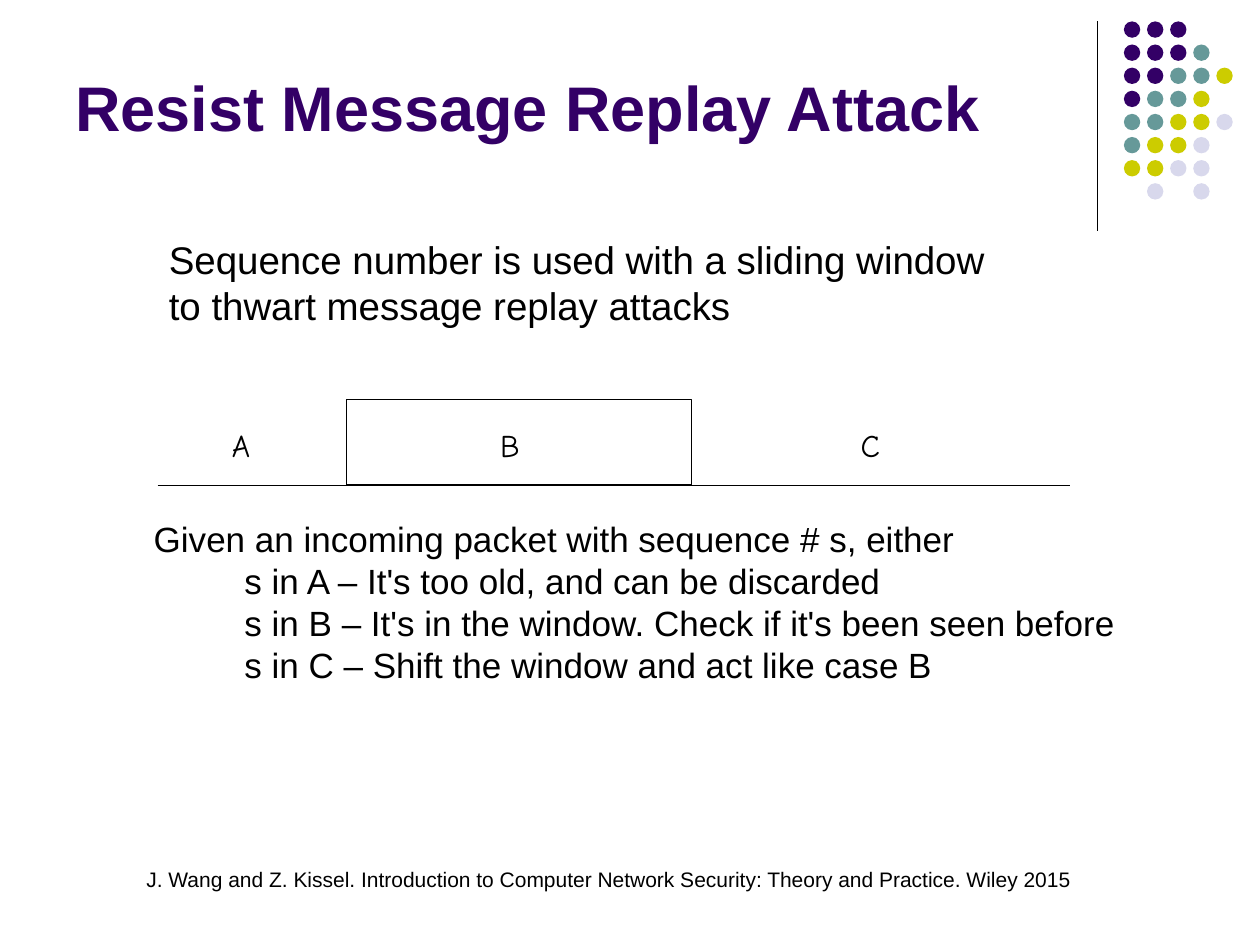
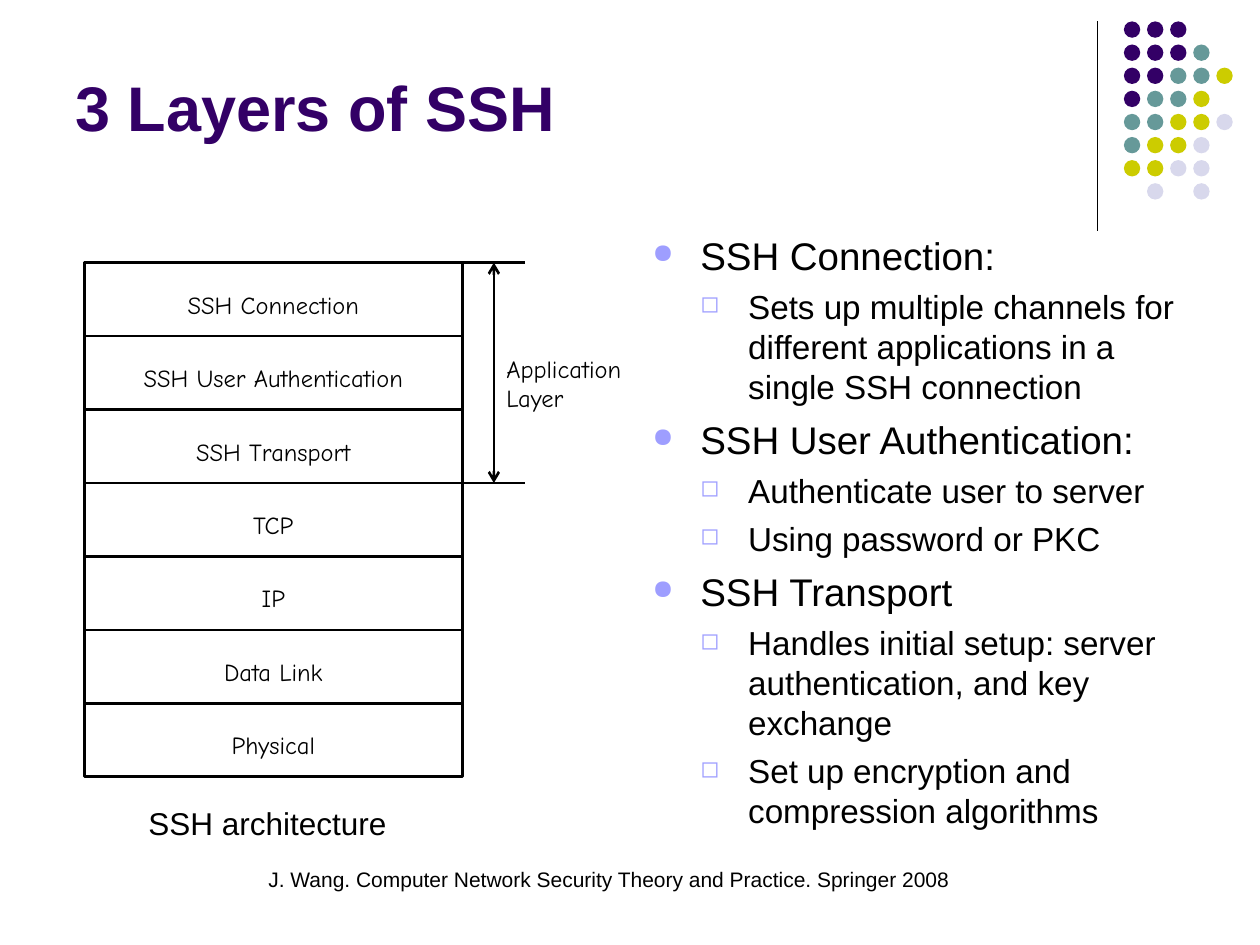
from lxml import etree
from pptx import Presentation
from pptx.dml.color import RGBColor
from pptx.enum.shapes import MSO_CONNECTOR, MSO_SHAPE
from pptx.enum.text import MSO_ANCHOR, PP_ALIGN
from pptx.oxml.ns import qn
from pptx.util import Inches, Pt

RECTANGLE, OVAL = MSO_SHAPE.RECTANGLE, MSO_SHAPE.OVAL
STRAIGHT = MSO_CONNECTOR.STRAIGHT
LEFT, CENTER = PP_ALIGN.LEFT, PP_ALIGN.CENTER
TOP, MIDDLE = MSO_ANCHOR.TOP, MSO_ANCHOR.MIDDLE

BLACK, WHITE, PURPLE, BULLET_COLOR = "000000", "FFFFFF", "330066", "9E9EFF"
DOT_COLORS = {"P": PURPLE, "T": "669999", "Y": "CCCC00", "L": "D8D8EC"}
DOT_ROWS = ["PPP", "PPPT", "PPTTY", "PTTY", "TTYYL", "TYYL", "YYLL", " L L"]
DOT_PITCH, DOT_SIZE = 0.1835, 0.13
BODY_FONT, DIAGRAM_FONT = "Arial", "Comic Neue"
WIDE_INSETS, NARROW_INSETS = (0.1, 0.05), (0.09, 0.04)
# bullet, left indent, space before, font size for each outline level
OUTLINE_LEVELS = [("●", 0.38, 5.5, 22), ("◻", 0.76, 4.8, 19)]
HANGING = 0.38


def rgb(color):
    return RGBColor.from_string(color)


class Deck:
    def __init__(self):
        self.presentation = Presentation()
        self.presentation.slide_width = Inches(10)
        self.presentation.slide_height = Inches(7.5)
        self.slide = None

    def new_slide(self, title, source, title_top, title_height):
        """Start a slide with the shared dots, rule, title and source line."""
        self.slide = self.presentation.slides.add_slide(self.presentation.slide_layouts[6])
        self.line(8.71, 0.17, 8.71, 1.83)
        for row, pattern in enumerate(DOT_ROWS):
            for column, key in enumerate(pattern):
                if key in DOT_COLORS:
                    self.shape(OVAL, 8.92 + column * DOT_PITCH, 0.17 + row * DOT_PITCH,
                               DOT_SIZE, DOT_SIZE, DOT_COLORS[key])
        self.text(0.5, 6.83, 8.67, 0.5, [source], 12, align=CENTER)
        self.text(0.5, title_top, 8.25, title_height, [title], 36,
                  color=PURPLE, bold=True, anchor=MIDDLE)

    def shape(self, kind, left, top, width, height, fill, line_width=None):
        shape = self.slide.shapes.add_shape(
            kind, Inches(left), Inches(top), Inches(width), Inches(height))
        shape.shadow.inherit = False
        shape.fill.solid()
        shape.fill.fore_color.rgb = rgb(fill)
        if line_width:
            shape.line.color.rgb = rgb(BLACK)
            shape.line.width = Pt(line_width)
        else:
            shape.line.fill.background()

    def line(self, x1, y1, x2, y2, width=0.75, arrows=False):
        connector = self.slide.shapes.add_connector(
            STRAIGHT, Inches(x1), Inches(y1), Inches(x2), Inches(y2))
        connector.line.color.rgb = rgb(BLACK)
        connector.line.width = Pt(width)
        properties = connector._element.spPr
        if arrows:
            for end in ("a:headEnd", "a:tailEnd"):
                etree.SubElement(properties.find(qn("a:ln")), qn(end), type="arrow")
        etree.SubElement(properties, qn("a:effectLst"))

    def text_frame(self, left, top, width, height, insets, anchor=TOP, wrap=True):
        box = self.slide.shapes.add_textbox(
            Inches(left), Inches(top), Inches(width), Inches(height))
        frame = box.text_frame
        frame.word_wrap = wrap
        frame.vertical_anchor = anchor
        frame.margin_left = frame.margin_right = Inches(insets[0])
        frame.margin_top = frame.margin_bottom = Inches(insets[1])
        return frame

    def paragraph(self, frame, index, text):
        paragraph = frame.add_paragraph() if index else frame.paragraphs[0]
        paragraph.text = text
        return paragraph

    def style(self, paragraph, size, font=BODY_FONT, color=BLACK, bold=False):
        paragraph.font.size = Pt(size)
        paragraph.font.name = font
        paragraph.font.bold = bold
        paragraph.font.color.rgb = rgb(color)

    def text(self, left, top, width, height, lines, size, font=BODY_FONT, color=BLACK,
             bold=False, align=LEFT, anchor=TOP, insets=WIDE_INSETS, wrap=True, indent=0):
        """Add a text box; indent moves every paragraph after the first."""
        frame = self.text_frame(left, top, width, height, insets, anchor, wrap)
        for index, line in enumerate(lines):
            paragraph = self.paragraph(frame, index, line)
            paragraph.alignment = align
            if index and indent:
                paragraph._p.get_or_add_pPr().set("marL", str(Inches(indent)))
            self.style(paragraph, size, font, color, bold)

    def outline(self, left, top, width, height, items):
        """Add a bulleted list from (level, text) pairs."""
        frame = self.text_frame(left, top, width, height, WIDE_INSETS)
        for index, (level, text) in enumerate(items):
            bullet, indent, space_before, size = OUTLINE_LEVELS[level]
            paragraph = self.paragraph(frame, index, text)
            paragraph.level = level
            if index:
                paragraph.space_before = Pt(space_before)
            properties = paragraph._p.get_or_add_pPr()
            properties.set("marL", str(Inches(indent)))
            properties.set("indent", str(-Inches(HANGING)))
            bullet_color = etree.SubElement(properties, qn("a:buClr"))
            etree.SubElement(bullet_color, qn("a:srgbClr"), val=BULLET_COLOR)
            etree.SubElement(properties, qn("a:buSzPct"), val="70000")
            etree.SubElement(properties, qn("a:buChar"), char=bullet)
            self.style(paragraph, size)


def add_replay_slide(deck):
    deck.new_slide(
        "Resist Message Replay Attack",
        "J. Wang and Z. Kissel. Introduction to Computer Network Security: "
        "Theory and Practice. Wiley 2015", 0.18, 1.32)
    deck.text(1.25, 1.83, 7.36, 1.15,
              ["Sequence number is used with a sliding window \nto thwart message replay attacks"],
              22, insets=NARROW_INSETS)

    axis_y = 3.855
    deck.shape(RECTANGLE, 2.75, 3.17, 2.74, 0.68, WHITE, 0.75)
    for start, end in [(1.25, 3), (5.25, 8.49)]:
        deck.line(start, axis_y, end, axis_y)
    for region, left in [("A", 1.75), ("B", 3.88), ("C", 6.74)]:
        deck.text(left, 3.34, 0.38, 0.52, [region], 18, DIAGRAM_FONT, insets=NARROW_INSETS)

    deck.text(1.13, 4.07, 7.95, 1.83, [
        "Given an incoming packet with sequence # s, either",
        "s in A – It's too old, and can be discarded",
        "s in B – It's in the window. Check if it's been seen before",
        "s in C – Shift the window and act like case B",
    ], 20, insets=NARROW_INSETS, indent=0.72)


def add_layers_slide(deck):
    deck.new_slide(
        "3 Layers of SSH",
        "J. Wang. Computer Network Security Theory and Practice. Springer 2008", 0.13, 1.42)
    deck.outline(5.08, 1.79, 4.42, 4.95, [
        (0, "SSH Connection:"),
        (1, "Sets up multiple channels for different applications in a single SSH connection"),
        (0, "SSH User Authentication:"),
        (1, "Authenticate user to server"),
        (1, "Using password or PKC"),
        (0, "SSH Transport"),
        (1, "Handles initial setup: server authentication, and key exchange"),
        (1, "Set up encryption and compression algorithms"),
    ])

    layers = ["SSH Connection", "SSH User Authentication", "SSH Transport",
              "TCP", "IP", "Data Link", "Physical"]
    application_layers = 3
    left, top, width, height = 0.67, 2.085, 3, 4.08
    layer_height = height / len(layers)
    deck.shape(RECTANGLE, left, top, width, height, WHITE, 2)
    for index, layer in enumerate(layers):
        layer_top = top + index * layer_height
        overhang = 0.5 if index in (0, application_layers) else 0
        deck.line(left, layer_top, left + width + overhang, layer_top, 1.5)
        deck.text(left, layer_top + 0.165, width, 0.34, [layer], 14, DIAGRAM_FONT, align=CENTER)

    arrow_x = left + width + 0.25
    deck.line(arrow_x, top, arrow_x, top + application_layers * layer_height, 1.5, arrows=True)
    deck.text(arrow_x, 2.76, 1.33, 0.57, ["Application Layer"], 14, DIAGRAM_FONT)
    deck.text(1.08, 6.33, 2.09, 0.4, ["SSH architecture"], 18, wrap=False)


def main():
    deck = Deck()
    add_replay_slide(deck)
    add_layers_slide(deck)
    deck.presentation.save("out.pptx")


if __name__ == "__main__":
    main()
